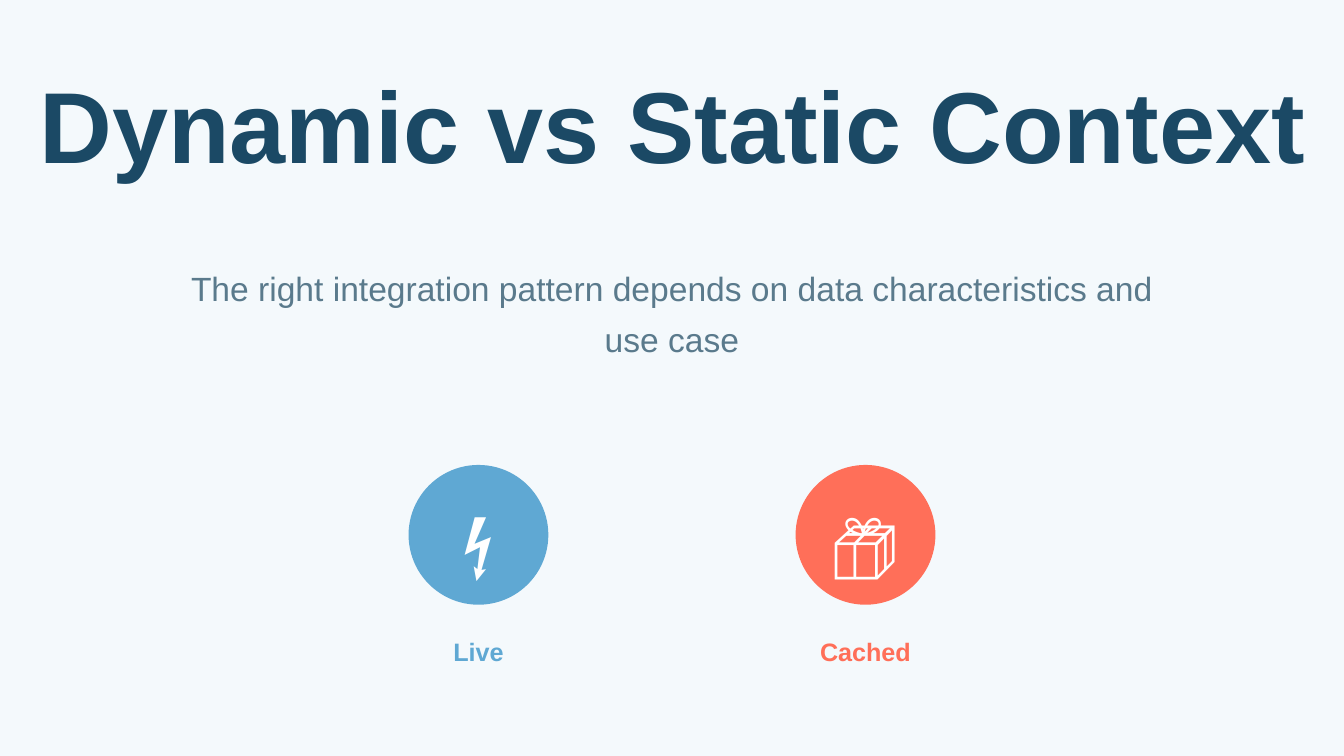
from dataclasses import dataclass

from pptx import Presentation
from pptx.dml.color import RGBColor
from pptx.enum import shapes, text
from pptx.util import Inches, Pt

BACKGROUND = RGBColor(0xF4, 0xF9, 0xFC)
NAVY = RGBColor(0x1B, 0x49, 0x65)
SLATE = RGBColor(0x5A, 0x7A, 0x8C)
BLUE = RGBColor(0x5F, 0xA8, 0xD3)
CORAL = RGBColor(0xFF, 0x6F, 0x59)
WHITE = RGBColor(0xFF, 0xFF, 0xFF)

FONT = "Arial"
CIRCLE_TOP, CIRCLE_SIZE = 3.46, 1.04


@dataclass
class Mode:
    label: str
    icon: str
    color: RGBColor
    center: float


MODES = [
    Mode("Live", "⚡", BLUE, 3.56),
    Mode("Cached", "📦", CORAL, 6.44),
]


def write(sp, content: str, *, size: float, color: RGBColor, leading: float,
          bold: bool = False, after: float = 0) -> None:
    tf = sp.text_frame
    tf.word_wrap = True
    tf.auto_size = text.MSO_AUTO_SIZE.NONE
    tf.vertical_anchor = text.MSO_ANCHOR.TOP
    tf.margin_left = tf.margin_right = tf.margin_top = tf.margin_bottom = 0
    p = tf.paragraphs[0]
    p.alignment = text.PP_ALIGN.CENTER
    p.line_spacing = Pt(leading)
    p.space_before = Pt(0)
    p.space_after = Pt(after)
    r = p.add_run()
    r.text = content
    r.font.name = FONT
    r.font.size = Pt(size)
    r.font.bold = bold
    r.font.color.rgb = color


def add_text(s, left: float, top: float, width: float, height: float,
             content: str, **style) -> None:
    box = s.shapes.add_textbox(Inches(left), Inches(top), Inches(width), Inches(height))
    write(box, content, **style)


def add_mode(s, mode: Mode) -> None:
    """Draw a coloured circle with its icon and the label below it."""
    circle = s.shapes.add_shape(
        shapes.MSO_SHAPE.ROUNDED_RECTANGLE, Inches(mode.center - CIRCLE_SIZE / 2),
        Inches(CIRCLE_TOP), Inches(CIRCLE_SIZE), Inches(CIRCLE_SIZE))
    circle.adjustments[0] = 0.5
    circle.shadow.inherit = False
    circle.fill.solid()
    circle.fill.fore_color.rgb = mode.color
    circle.line.fill.background()
    add_text(s, mode.center - 0.32, 3.63, 0.64, 0.7, mode.icon,
             size=36, color=WHITE, leading=50.4, bold=True)
    add_text(s, mode.center - 0.53, 4.67, 1.06, 0.29, mode.label,
             size=13.5, color=mode.color, leading=21, bold=True, after=3)


def main() -> None:
    prs = Presentation()
    prs.slide_width = Inches(10)
    prs.slide_height = prs.slide_width * 9 // 16
    s = prs.slides.add_slide(prs.slide_layouts[5])
    s.background.fill.solid()
    s.background.fill.fore_color.rgb = BACKGROUND

    title = s.shapes.title
    title.left, title.top = Inches(0.2), Inches(0.62)
    title.width, title.height = Inches(9.61), Inches(0.75)
    write(title, "Dynamic vs Static Context",
          size=54, color=NAVY, leading=54, bold=True, after=18)
    add_text(s, 1.28, 1.92, 7.44, 0.75,
             "The right integration pattern depends on data characteristics and use case",
             size=18, color=SLATE, leading=27, after=3)

    for mode in MODES:
        add_mode(s, mode)
    prs.save("out.pptx")


if __name__ == "__main__":
    main()
